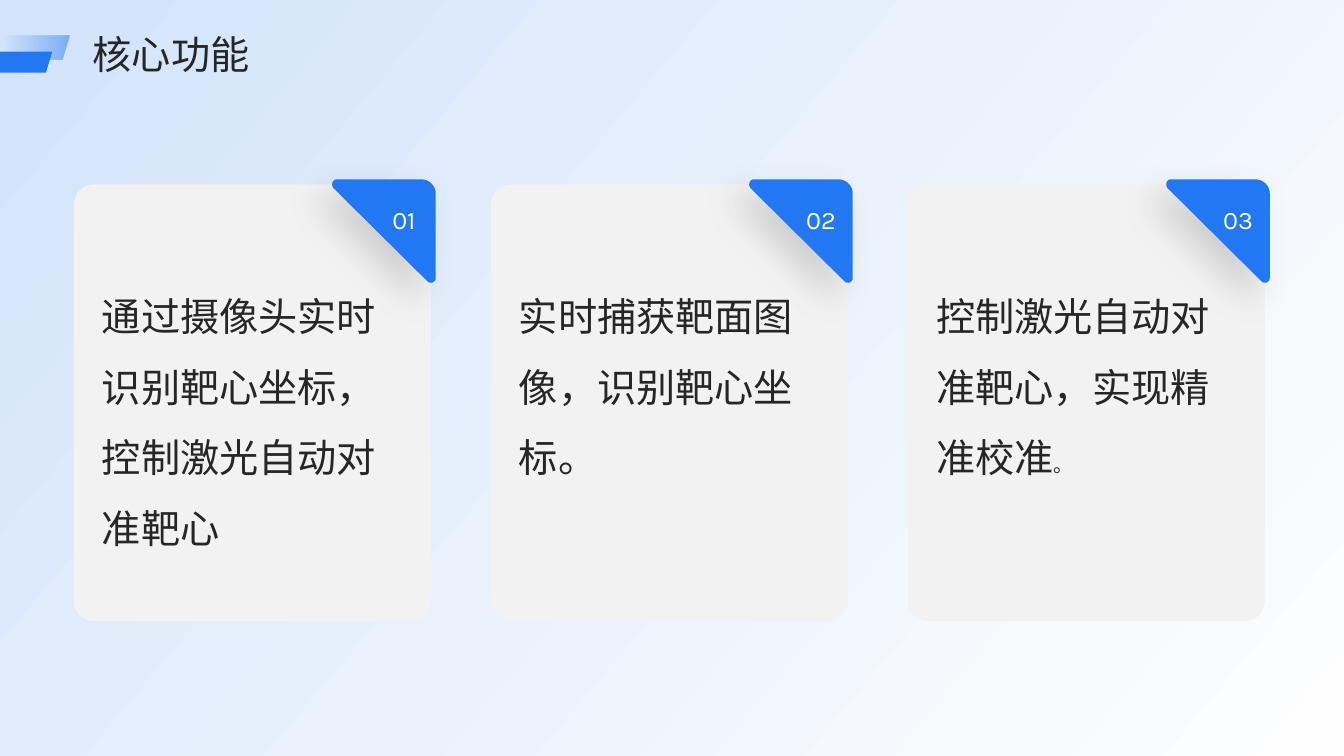
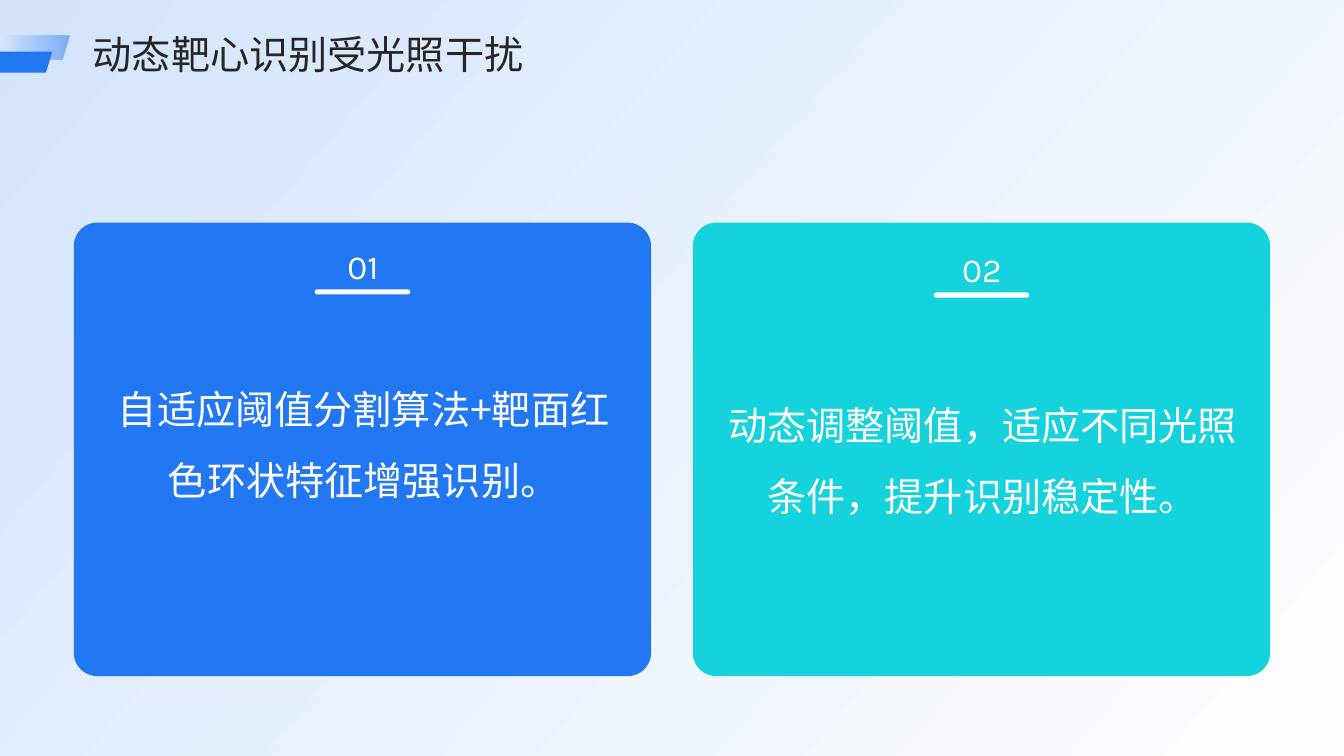
"""Build two slides on target recognition: core functions and light interference."""
from dataclasses import dataclass

from lxml.etree import SubElement
from pptx import Presentation
from pptx.dml.color import RGBColor
from pptx.enum.shapes import MSO_SHAPE
from pptx.enum.text import MSO_ANCHOR, PP_ALIGN
from pptx.oxml.ns import qn
from pptx.util import Cm, Pt


@dataclass(frozen=True)
class Theme:
    blue: str = "2278F2"
    teal: str = "15D3DD"
    sky: str = "D3E4FC"
    white: str = "FFFFFF"
    pale: str = "F2F2F2"
    shade: str = "808080"
    ink: str = "262626"
    han: str = "Noto Sans CJK SC"
    latin: str = "Karla"
    body: int = 28
    small: int = 14
    tag: int = 18
    count: int = 24


THEME = Theme()
WIDTH, HEIGHT = 33.87, 19.05
LEFT = 1.86


def node(parent, name, **attrs):
    return SubElement(parent, qn(f"a:{name}"), {k: str(v) for k, v in attrs.items()})


def tint(parent, color, alpha):
    node(node(parent, "srgbClr", val=color), "alpha", val=alpha * 1000)


def write(para, text, size=THEME.body, color=THEME.ink, face=THEME.han):
    run = para.add_run()
    run.text = text
    run.font.size = Pt(size)
    run.font.color.rgb = RGBColor.from_string(color)
    run.font.name = face
    node(run.font._element, "ea", typeface=face)


def curve(start, first, second, end, steps=8):
    points = []
    for i in range(1, steps + 1):
        t = i / steps
        u = 1 - t
        points.append(tuple(
            u**3 * a + 3 * u**2 * t * b + 3 * u * t**2 * c + t**3 * d
            for a, b, c, d in zip(start, first, second, end)))
    return points


class Deck:
    def __init__(self, theme):
        self.theme = theme
        self.file = Presentation()
        self.file.slide_width, self.file.slide_height = Cm(WIDTH), Cm(HEIGHT)
        self.slide = None

    def start(self, title):
        self.slide = self.file.slides.add_slide(self.file.slide_layouts[6])
        look = self.theme
        back = self.shape(MSO_SHAPE.RECTANGLE, 0, 0, WIDTH, HEIGHT)
        self.fade(back, 40, (0, look.sky, 100), (100, look.white, 85))
        slant = MSO_SHAPE.PARALLELOGRAM
        self.shape(slant, -0.38, 1.3, 1.7, 0.53, look.blue, 0.304)
        glow = self.shape(slant, -0.38, 0.9, 2.14, 0.61, adj=0.304)
        self.fade(glow, 0, (23, look.blue, 0), (100, look.blue, 50))
        self.text([title], 2.34, 0.48, 29.85, 1.4, space=1.3, anchor=MSO_ANCHOR.MIDDLE)

    def paint(self, shape, color):
        shape.shadow.inherit = False
        shape.line.fill.background()
        if color:
            shape.fill.solid()
            shape.fill.fore_color.rgb = RGBColor.from_string(color)

    def shape(self, kind, x, y, w, h, color=None, adj=None):
        shape = self.slide.shapes.add_shape(kind, Cm(x), Cm(y), Cm(w), Cm(h))
        if adj is not None:
            shape.adjustments[0] = adj
        self.paint(shape, color)
        return shape

    def fade(self, shape, angle, *stops):
        props = shape._element.spPr
        grad = node(props, "gradFill", rotWithShape=1)
        row = node(grad, "gsLst")
        for place, color, alpha in stops:
            tint(node(row, "gs", pos=place * 1000), color, alpha)
        node(grad, "lin", ang=angle * 60000, scaled=0)
        props.find(qn("a:prstGeom")).addnext(grad)

    def text(self, parts, x, y, w, h, space=1.5, align=PP_ALIGN.LEFT,
             anchor=MSO_ANCHOR.TOP, **style):
        frame = self.slide.shapes.add_textbox(Cm(x), Cm(y), Cm(w), Cm(h)).text_frame
        frame.word_wrap = True
        frame.vertical_anchor = anchor
        frame.margin_left = frame.margin_right = 0
        frame.margin_top = frame.margin_bottom = 0
        para = frame.paragraphs[0]
        para.alignment, para.line_spacing = align, space
        write(para, parts[0], **style)
        for tail in parts[1:]:
            write(para, tail, **{**style, "size": self.theme.small})

    def fold(self, x, y):
        points = [(0.1, 0)]
        points += curve((0.1, 0), (0, 0), (-0.05, 0.15), (0.03, 0.23))
        points.append((2.39, 2.57))
        points += curve((2.39, 2.57), (2.47, 2.65), (2.6, 2.59), (2.6, 2.49))
        points.append((2.6, 0.35))
        points += curve((2.6, 0.35), (2.6, 0.16), (2.43, 0), (2.24, 0))
        pen = self.slide.shapes.build_freeform(Cm(2.24), 0)
        pen.add_line_segments([(Cm(a), Cm(b)) for a, b in points])
        shape = pen.convert_to_shape(Cm(x), Cm(y))
        self.paint(shape, self.theme.blue)
        effect = shape._element.spPr.find(qn("a:effectLst"))
        shadow = node(effect, "outerShdw", blurRad=Pt(25), dist=Pt(15),
                      dir=135 * 60000, algn="tr", rotWithShape=0)
        tint(shadow, self.theme.shade, 30)

    def card(self, index, parts):
        look = self.theme
        x = LEFT + index * 10.51
        self.shape(MSO_SHAPE.ROUNDED_RECTANGLE, x, 4.65, 9, 11, look.pale, 0.056)
        self.fold(x + 6.52, 4.52)
        self.text([f"{index + 1:02}"], x + 7.52, 5, 1.6, 1, space=1.1,
                  align=PP_ALIGN.CENTER, anchor=MSO_ANCHOR.MIDDLE,
                  size=look.tag, color=look.white, face=look.latin)
        self.text(parts, x + 0.71, 6.78, 7.6, 8)

    def panel(self, index, color, words):
        look = self.theme
        x = LEFT + index * 15.6
        drop = index * 0.08
        box = MSO_SHAPE.ROUNDED_RECTANGLE
        self.shape(box, x, 5.61, 14.55, 11.43, color, 0.052)
        self.text([f"{index + 1:02}"], x + 0.67, 5.92 + drop, 13.23, 1.3, space=1.2,
                  align=PP_ALIGN.CENTER, anchor=MSO_ANCHOR.BOTTOM,
                  size=look.count, color=look.white, face=look.latin)
        self.shape(box, x + 6.07, 7.29 + drop, 2.41, 0.13, look.white, 0.5)
        self.text([words], x + 0.69, 9.12 + index * 0.4, 13.23, 6.8,
                  align=PP_ALIGN.CENTER, color=look.white)


def main():
    deck = Deck(THEME)
    deck.start("核心功能")
    cards = (
        ["通过摄像头实时识别靶心坐标，控制激光自动对准靶心"],
        ["实时捕获靶面图像，识别靶心坐标。"],
        ["控制激光自动对准靶心，实现精准校准", "。"],
    )
    for index, parts in enumerate(cards):
        deck.card(index, parts)

    deck.start("动态靶心识别受光照干扰")
    panels = (
        (THEME.blue, "自适应阈值分割算法+靶面红色环状特征增强识别。"),
        (THEME.teal, "动态调整阈值，适应不同光照条件，提升识别稳定性。"),
    )
    for index, (color, words) in enumerate(panels):
        deck.panel(index, color, words)
    deck.file.save("out.pptx")


if __name__ == "__main__":
    main()
